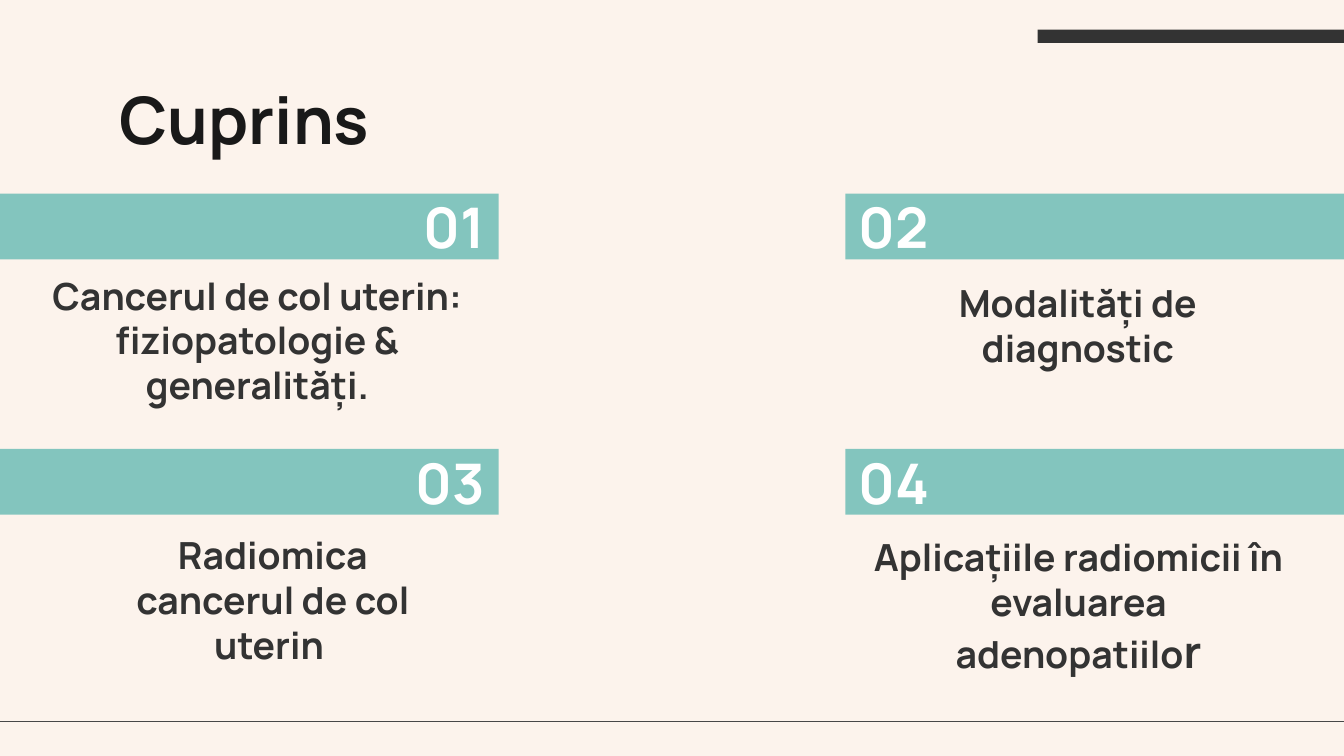
from lxml import etree
from pptx import Presentation
from pptx.dml.color import RGBColor
from pptx.enum.shapes import MSO_CONNECTOR, MSO_SHAPE
from pptx.enum.text import MSO_ANCHOR, PP_ALIGN
from pptx.oxml.ns import qn
from pptx.util import Inches, Pt

COLORS = {
    "background": "FCF3EC",
    "title": "191919",
    "text": "333333",
    "rule": "474747",
    "band": "83C5BE",
    "number": "FFFFFF",
}
FONT = "Manrope"
WIDTH = 10
HEIGHT = WIDTH * 9 / 16
BAND_WIDTH, BAND_HEIGHT = 3.71, 0.49
COLUMNS = (0, WIDTH - BAND_WIDTH)
ROWS = (1.44, 3.34)

# Label, then its box (left, top, width, height) relative to the band's corner
TOPICS = [
    ("Cancerul de col uterin: fiziopatologie & generalități.", (0.2, 1.06, 3.43, 0.63)),
    ("Modalități de diagnostic", (0.37, 0.98, 2.72, 0.43)),
    ("Radiomica cancerul de col uterin ", (0.67, 1.29, 2.72, 0.43)),
    ("Aplicațiile radiomicii în evaluarea adenopatiilor", (0.04, 1.37, 3.39, 0.43)),
]


def color(name):
    return RGBColor.from_string(COLORS[name])


def add_bar(slide, left, top, width, height, fill):
    bar = slide.shapes.add_shape(
        MSO_SHAPE.RECTANGLE, Inches(left), Inches(top), Inches(width), Inches(height))
    bar.shadow.inherit = False
    bar.fill.solid()
    bar.fill.fore_color.rgb = color(fill)
    bar.line.fill.background()
    return bar


def write_text(shape, text, size, font_color, align, anchor):
    """Set one bold paragraph in a shape and return it."""
    frame = shape.text_frame
    frame.word_wrap = True
    frame.vertical_anchor = anchor
    frame.margin_left = frame.margin_right = Inches(0.1)
    frame.margin_top = frame.margin_bottom = Inches(0.1)
    paragraph = frame.paragraphs[0]
    paragraph.text = text
    paragraph.alignment = align
    paragraph.font.name = FONT
    paragraph.font.size = Pt(size)
    paragraph.font.bold = True
    paragraph.font.color.rgb = color(font_color)
    return paragraph


def add_label(slide, left, top, width, height, *text_style):
    box = slide.shapes.add_textbox(
        Inches(left), Inches(top), Inches(width), Inches(height))
    return write_text(box, *text_style)


def add_decoration(slide):
    """Draw the bar at the top right and the rule along the bottom."""
    add_bar(slide, 7.72, 0.22, 2.28, 0.1, "text")
    rule = slide.shapes.add_connector(
        MSO_CONNECTOR.STRAIGHT, 0, Inches(5.37), Inches(WIDTH), Inches(5.37))
    rule.line.color.rgb = color("rule")
    rule.line.width = Pt(0.75)
    etree.SubElement(rule._element.spPr, qn("a:effectLst"))


def add_topic(slide, left, top, number, label, label_box, number_align):
    """Draw a numbered band with its label below and return the label."""
    band = add_bar(slide, left, top, BAND_WIDTH, BAND_HEIGHT, "band")
    write_text(band, f"{number:02}", 30, "number", number_align, MSO_ANCHOR.MIDDLE)
    offset_left, offset_top, width, height = label_box
    return add_label(slide, left + offset_left, top + offset_top, width, height,
                     label, 20, "text", PP_ALIGN.CENTER, MSO_ANCHOR.BOTTOM)


def enlarge_last_letter(paragraph, size):
    run = paragraph.runs[0]
    letter = run.text[-1]
    run.text = run.text[:-1]
    last_run = paragraph.add_run()
    last_run.text = letter
    last_run.font.size = Pt(size)


def build_contents_slide(presentation):
    slide = presentation.slides.add_slide(presentation.slide_layouts[6])
    slide.background.fill.solid()
    slide.background.fill.fore_color.rgb = color("background")
    add_decoration(slide)
    add_label(slide, 0.79, 0.49, 8.43, 0.63,
              "Cuprins", 35, "title", PP_ALIGN.LEFT, MSO_ANCHOR.TOP)
    number_aligns = (PP_ALIGN.RIGHT, PP_ALIGN.LEFT)
    for index, (label, label_box) in enumerate(TOPICS):
        row, column = divmod(index, 2)
        paragraph = add_topic(slide, COLUMNS[column], ROWS[row], index + 1,
                              label, label_box, number_aligns[column])
    enlarge_last_letter(paragraph, 24)


def main():
    presentation = Presentation()
    presentation.slide_width = Inches(WIDTH)
    presentation.slide_height = Inches(HEIGHT)
    build_contents_slide(presentation)
    presentation.save("out.pptx")


if __name__ == "__main__":
    main()
